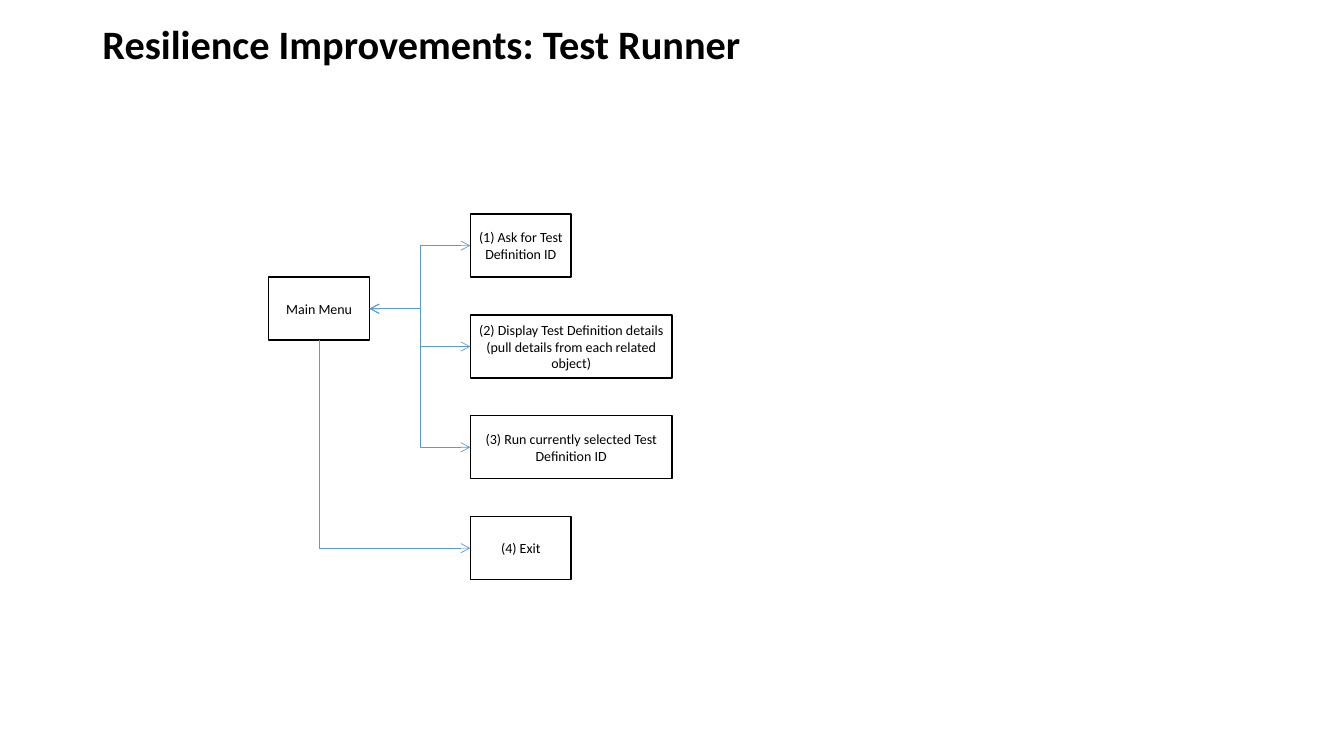
from lxml import etree
from pptx import Presentation
from pptx import util as u
from pptx.dml.color import RGBColor
from pptx.enum import shapes, text
from pptx.oxml.ns import qn

TITLE = "Resilience Improvements: Test Runner"
MENU = "Main Menu"
STEPS = [
    ("(1) Ask for Test Definition ID", 72),
    ("(2) Display Test Definition details (pull details from each related object)", 144),
    ("(3) Run currently selected Test Definition ID", 144),
    ("(4) Exit", 72),
]

BLACK = RGBColor(0x00, 0x00, 0x00)
WHITE = RGBColor(0xFF, 0xFF, 0xFF)
BLUE = RGBColor(0x5B, 0x9B, 0xD5)
FONT = "Calibri"

BOX_HEIGHT = 45
MENU_LEFT, MENU_TOP, MENU_WIDTH = 192, 198, 72
STEP_LEFT, STEP_TOP, STEP_PITCH = 336, 153, 72
BOTTOM, LEFT, RIGHT = 2, 1, 3


def style_text(paragraph, size, alignment, bold=False):
    paragraph.alignment = alignment
    for run in paragraph.runs:
        run.font.name = FONT
        run.font.size = u.Pt(size)
        run.font.bold = bold
        run.font.color.rgb = BLACK


def add_box(slide, label, left, top, width):
    box = slide.shapes.add_shape(
        shapes.MSO_SHAPE.RECTANGLE, u.Pt(left), u.Pt(top), u.Pt(width), u.Pt(BOX_HEIGHT))
    box.shadow.inherit = False
    box.fill.solid()
    box.fill.fore_color.rgb = WHITE
    box.line.color.rgb = BLACK
    box.line.width = u.Pt(1)
    frame = box.text_frame
    frame.word_wrap = True
    frame.vertical_anchor = text.MSO_ANCHOR.MIDDLE
    frame.margin_left = frame.margin_right = u.Pt(3.6)
    frame.margin_top = frame.margin_bottom = u.Pt(3.6)
    frame.text = label
    style_text(frame.paragraphs[0], 10, text.PP_ALIGN.CENTER)
    return box


def connect(slide, start, start_site, end, arrow_ends):
    connector = slide.shapes.add_connector(shapes.MSO_CONNECTOR.ELBOW, 0, 0, 0, 0)
    connector.begin_connect(start, start_site)
    connector.end_connect(end, LEFT)
    connector.line.color.rgb = BLUE
    connector.line.width = u.Pt(0.5)
    line = connector.line._get_or_add_ln()
    for arrow_end in arrow_ends:
        etree.SubElement(line, qn("a:" + arrow_end), type="arrow")
    etree.SubElement(connector.element.spPr, qn("a:effectLst"))
    return connector


def turn_down_then_right(connector):
    left, top = connector.left, connector.top
    width, height = connector.width, connector.height
    properties = connector.element.spPr
    properties.find(qn("a:prstGeom")).set("prst", "bentConnector2")
    transform = properties.find(qn("a:xfrm"))
    transform.set("rot", "16200000")
    transform.set("flipH", "1")
    connector.left = left + (width - height) // 2
    connector.top = top + (height - width) // 2
    connector.width, connector.height = height, width


presentation = Presentation()
presentation.slide_width = u.Pt(960)
presentation.slide_height = u.Pt(540)
slide = presentation.slides.add_slide(presentation.slide_layouts[5])

title = slide.shapes.title
title.left, title.top, title.width, title.height = map(u.Pt, (66, 13.5, 828, 39.6))
title.text_frame.text = TITLE
title.text_frame.auto_size = text.MSO_AUTO_SIZE.NONE
title.text_frame.vertical_anchor = text.MSO_ANCHOR.MIDDLE
title.text_frame.paragraphs[0].line_spacing = 0.9
style_text(title.text_frame.paragraphs[0], 28.8, text.PP_ALIGN.LEFT, bold=True)

menu = add_box(slide, MENU, MENU_LEFT, MENU_TOP, MENU_WIDTH)
steps = [
    add_box(slide, label, STEP_LEFT, STEP_TOP + index * STEP_PITCH, width)
    for index, (label, width) in enumerate(STEPS)
]

for step in steps[:-1]:
    connect(slide, menu, RIGHT, step, ("headEnd", "tailEnd"))
turn_down_then_right(connect(slide, menu, BOTTOM, steps[-1], ("tailEnd",)))

presentation.save("out.pptx")
